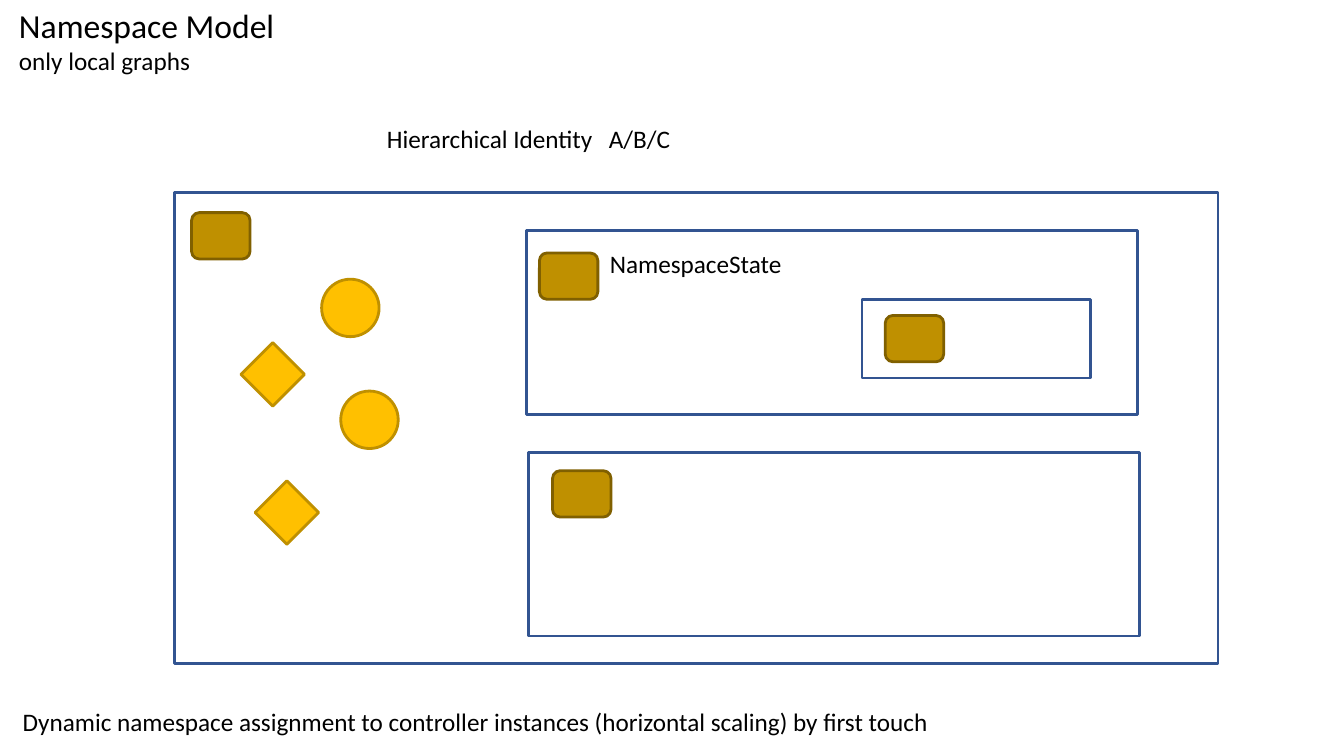
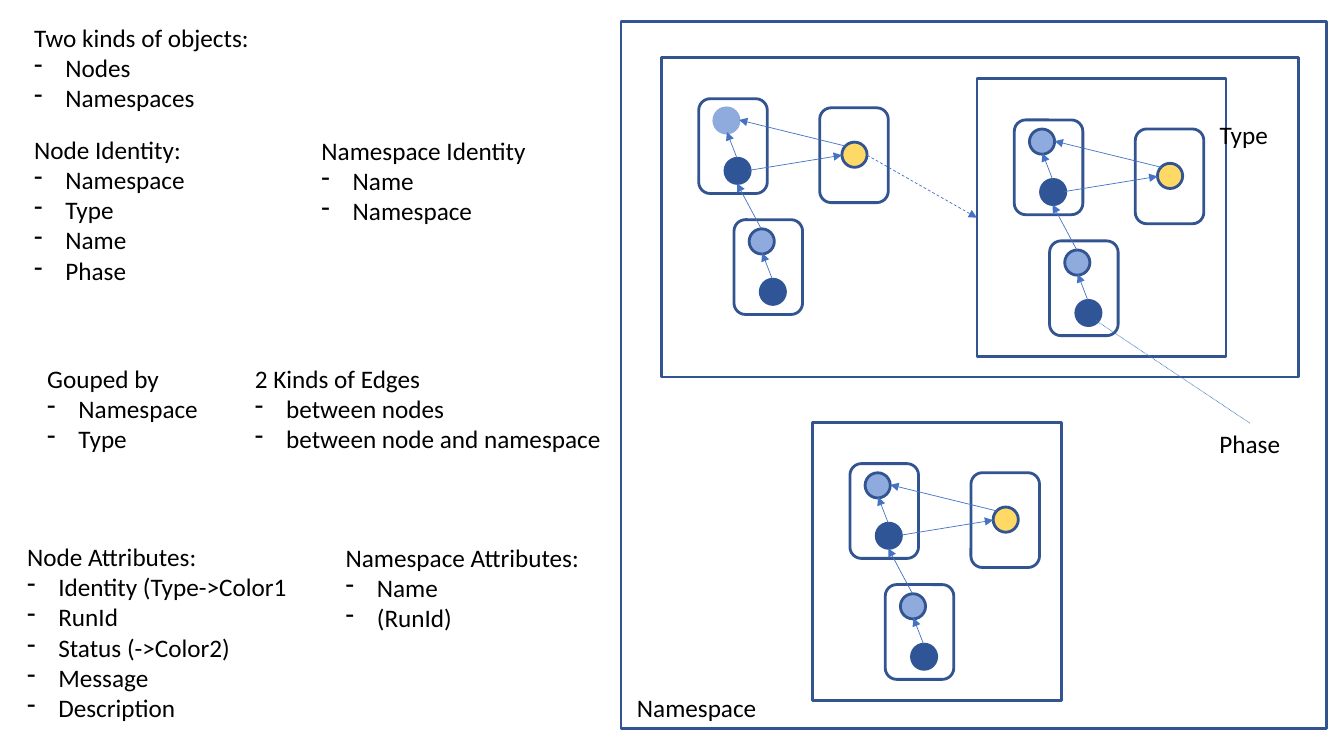
from pptx import Presentation
from pptx.dml.color import RGBColor
from pptx.enum.dml import MSO_LINE
from pptx.enum.shapes import MSO_CONNECTOR, MSO_SHAPE
from pptx.enum.text import PP_ALIGN
from pptx.oxml.ns import qn
from pptx.util import Inches, Pt
from lxml import etree

RECTANGLE = MSO_SHAPE.RECTANGLE
ROUNDED = MSO_SHAPE.ROUNDED_RECTANGLE
ELLIPSE = MSO_SHAPE.OVAL
DIAMOND = MSO_SHAPE.DIAMOND
STRAIGHT = MSO_CONNECTOR.STRAIGHT
DASH, DOT = MSO_LINE.DASH, MSO_LINE.ROUND_DOT
LEFT, CENTER = PP_ALIGN.LEFT, PP_ALIGN.CENTER

FONT = "Calibri"
BLACK = RGBColor(0x00, 0x00, 0x00)
FRAME_BLUE = RGBColor(0x32, 0x54, 0x91)
DARK_BLUE = RGBColor(0x2F, 0x55, 0x97)
LIGHT_BLUE = RGBColor(0x8F, 0xAA, 0xDC)
EDGE_BLUE = RGBColor(0x44, 0x72, 0xC4)
YELLOW = RGBColor(0xFF, 0xD9, 0x66)
GOLD = RGBColor(0xFF, 0xC0, 0x00)
DARK_GOLD = RGBColor(0xBF, 0x90, 0x00)
BROWN = RGBColor(0x80, 0x60, 0x00)

BULLET_INDENT = Inches(0.31)
NODE_SIZE = 0.25
TYPE_SIZE = (0.68, 0.94)
STATE_SIZE = (0.58, 0.46)


# Shared building blocks
def add_outline(slide, kind, box, fill=None, line=FRAME_BLUE):
    shape = slide.shapes.add_shape(kind, *map(Inches, box))
    shape.shadow.inherit = False
    if fill is None:
        shape.fill.background()
    else:
        shape.fill.solid()
        shape.fill.fore_color.rgb = fill
    shape.line.color.rgb = line
    shape.line.width = Pt(2)
    return shape


def add_edge(slide, start, end, dash=None, arrow=True):
    connector = slide.shapes.add_connector(
        STRAIGHT, *map(Inches, (*start, *end)))
    connector.line.color.rgb = EDGE_BLUE
    connector.line.width = Pt(0.5)
    if dash is not None:
        connector.line.dash_style = dash
    properties = connector._element.spPr
    if arrow:
        outline = properties.find(qn("a:ln"))
        etree.SubElement(outline, qn("a:tailEnd"), type="triangle")
    etree.SubElement(properties, qn("a:effectLst"))


def add_text(slide, box, lines, size=18, first_size=None, align=LEFT,
             bullets=False, wrap=False, tab=None):
    """Write lines; with bullets, every line after the first is an item."""
    frame = slide.shapes.add_textbox(*map(Inches, box)).text_frame
    frame.word_wrap = wrap
    for index, line in enumerate(lines):
        paragraph = frame.paragraphs[0] if index == 0 else frame.add_paragraph()
        paragraph.alignment = align
        run = paragraph.add_run()
        run.text = line
        run.font.name = FONT
        run.font.size = Pt(first_size if first_size and index == 0 else size)
        run.font.color.rgb = BLACK
        properties = paragraph._p.get_or_add_pPr()
        if bullets and index > 0:
            properties.set("marL", str(BULLET_INDENT))
            properties.set("indent", str(-BULLET_INDENT))
            etree.SubElement(properties, qn("a:buFontTx"))
            etree.SubElement(properties, qn("a:buChar"), char="-")
        if tab is not None:
            tabs = etree.SubElement(properties, qn("a:tabLst"))
            etree.SubElement(tabs, qn("a:tab"), pos=str(Inches(tab)), algn="l")


# Namespace model slide
def add_namespace(slide, box, state_offset):
    """A namespace frame with its state marker."""
    left, top = box[:2]
    add_outline(slide, RECTANGLE, box)
    state = (left + state_offset[0], top + state_offset[1], *STATE_SIZE)
    add_outline(slide, ROUNDED, state, DARK_GOLD, BROWN)


def add_local_objects(slide, left, top):
    """Loose nodes inside the outer namespace."""
    for kind, size, x, y in (
        (ELLIPSE, 0.57, 1.46, 0.86),
        (DIAMOND, 0.63, 0.80, 2.86),
        (ELLIPSE, 0.57, 1.65, 1.97),
        (DIAMOND, 0.63, 0.66, 1.49),
    ):
        add_outline(slide, kind, (left + x, top + y, size, size), GOLD, DARK_GOLD)


def build_model_slide(slide):
    add_text(slide, (0.09, 0, 2.76, 0.81),
             ["Namespace Model", "only local graphs"], first_size=24)
    add_text(slide, (3.74, 1.17, 3.17, 0.4),
             ["Hierarchical Identity\tA/B/C"], wrap=True, tab=2.2)
    for box, state_offset in (
        ((1.73, 1.91, 10.35, 4.67), (0.17, 0.20)),
        ((5.22, 2.29, 6.06, 1.82), (0.13, 0.22)),
        ((5.24, 4.49, 6.06, 1.82), (0.24, 0.18)),
        ((8.55, 2.97, 2.27, 0.78), (0.23, 0.16)),
    ):
        add_namespace(slide, box, state_offset)
    add_local_objects(slide, 1.73, 1.91)
    add_text(slide, (5.94, 2.41, 1.92, 0.4), ["NamespaceState"], align=CENTER)
    add_text(slide, (0.07, 6.96, 9.29, 0.4),
             ["Dynamic namespace assignment to controller instances "
              "(horizontal scaling) by first touch"], align=CENTER)


# Object kinds slide
def add_node(slide, left, top, fill, line=FRAME_BLUE):
    add_outline(slide, ELLIPSE, (left, top, NODE_SIZE, NODE_SIZE), fill, line)


def add_two_phase_type(slide, left, top, upper_line=FRAME_BLUE):
    """A type box holding two phases, the lower pointing to the upper."""
    add_node(slide, left + 0.15, top + 0.09, LIGHT_BLUE, upper_line)
    add_node(slide, left + 0.26, top + 0.59, DARK_BLUE, DARK_BLUE)
    add_edge(slide, (left + 0.38, top + 0.59), (left + 0.28, top + 0.33))
    add_outline(slide, ROUNDED, (left, top, *TYPE_SIZE))


def add_graph(slide, box, upper_line=FRAME_BLUE):
    """A namespace frame with three types and the edges between them."""
    left, top = box[:2]
    add_outline(slide, RECTANGLE, box)
    add_two_phase_type(slide, left + 0.37, top + 0.41, upper_line)
    add_two_phase_type(slide, left + 0.72, top + 1.61)
    add_node(slide, left + 1.79, top + 0.84, YELLOW)
    add_outline(slide, ROUNDED, (left + 1.57, top + 0.50, *TYPE_SIZE))
    for x1, y1, x2, y2 in (
        (1.83, 0.88, 0.77, 0.62),
        (0.87, 1.12, 1.79, 0.97),
        (0.99, 1.70, 0.75, 1.25),
    ):
        add_edge(slide, (left + x1, top + y1), (left + x2, top + y2))


def add_namespace_diagram(slide, box):
    left, top, width, height = box
    add_outline(slide, RECTANGLE, box)
    add_graph(slide, (left + 0.40, top + 0.36, 6.32, 3.17), LIGHT_BLUE)
    for x, y in ((3.53, 0.57), (1.90, 3.98)):
        add_graph(slide, (left + x, top + y, 2.47, 2.76))
    # Edge from a node to a namespace, and the pointer to the phase label
    add_edge(slide, (left + 2.44, top + 1.33), (left + 3.53, top + 1.95), DASH)
    add_edge(slide, (left + 4.71, top + 2.97), (left + 6.24, top + 3.99),
             DOT, arrow=False)
    for label, x, y, label_width in (
        ("Namespace", 0.05, 6.61, 1.40),
        ("Type", 5.83, 0.92, 0.69),
        ("Phase", 5.83, 3.99, 0.81),
    ):
        add_text(slide, (left + x, top + y, label_width, 0.4), [label],
                 align=CENTER)


def build_objects_slide(slide):
    for box, lines in (
        ((0.24, 0.17, 2.36, 1.01),
         ["Two kinds of objects:", "Nodes", "Namespaces"]),
        ((0.24, 1.28, 1.71, 1.62),
         ["Node Identity:", "Namespace", "Type", "Name", "Phase"]),
        ((3.09, 1.29, 2.25, 1.31),
         ["Namespace Identity", "Name", "Namespace"]),
        ((0.37, 3.55, 2.09, 1.01),
         ["Gouped by", "Namespace", "Type"]),
        ((2.43, 3.55, 3.77, 1.01),
         ["2 Kinds of Edges", "between nodes", "between node and namespace"]),
        ((0.17, 5.32, 2.81, 1.92),
         ["Node Attributes:", "Identity (Type->Color1", "RunId",
          "Status (->Color2)", "Message", "Description"]),
        ((3.33, 5.33, 2.55, 1.01),
         ["Namespace Attributes:", "Name", "(RunId)"]),
    ):
        add_text(slide, box, lines, bullets=True)
    add_namespace_diagram(slide, (6.16, 0.21, 7.0, 7.02))


def main():
    presentation = Presentation()
    presentation.slide_width = Inches(13.33)
    presentation.slide_height = Inches(7.5)
    blank = presentation.slide_layouts[6]
    for build in (build_model_slide, build_objects_slide):
        build(presentation.slides.add_slide(blank))
    presentation.save("out.pptx")


if __name__ == "__main__":
    main()
